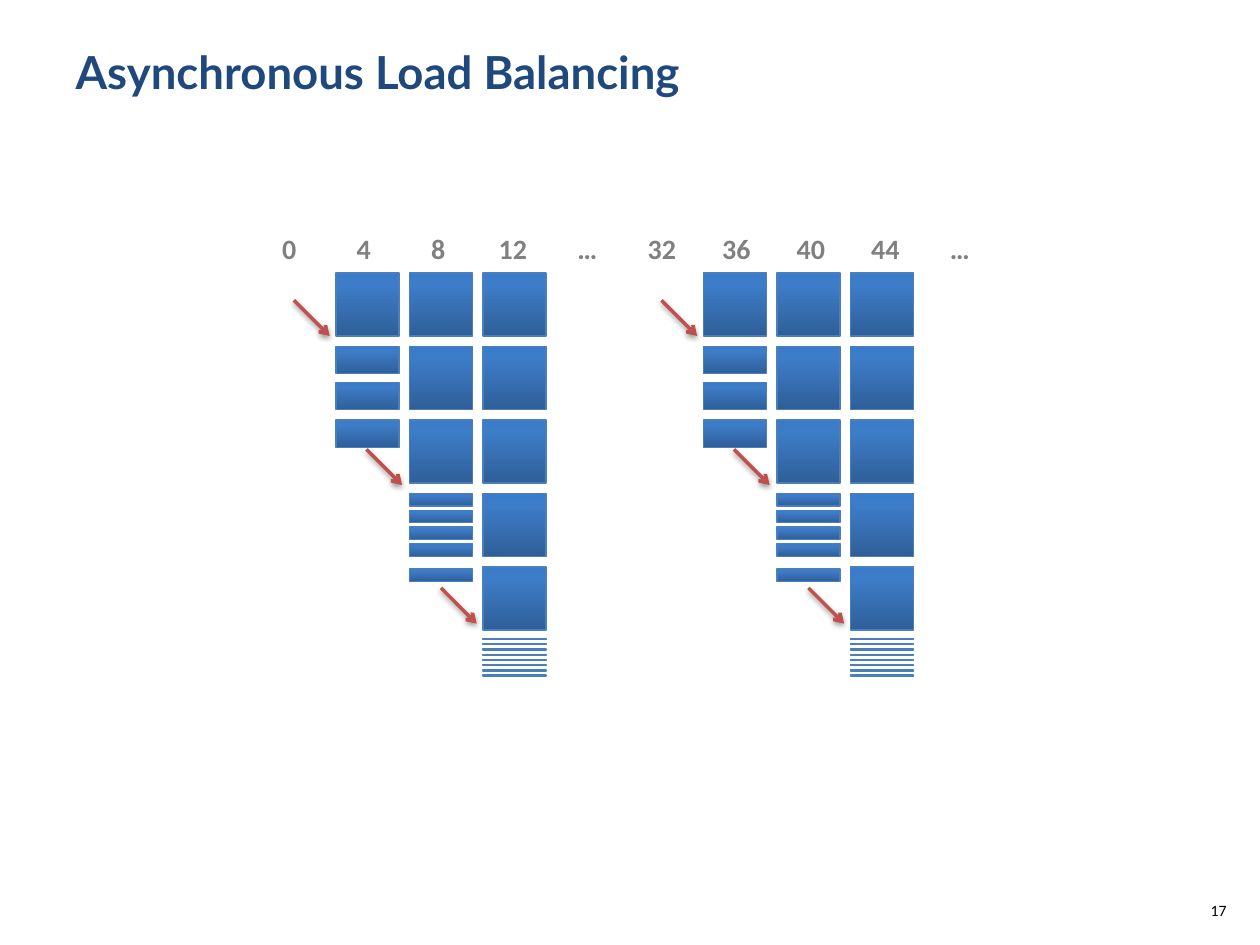
import copy
import dataclasses
import typing

import lxml.etree
import pptx
import pptx.dml.color
import pptx.enum.shapes
import pptx.enum.text
import pptx.oxml
import pptx.oxml.ns
import pptx.util

PX = 7620


@dataclasses.dataclass(frozen=True)
class Theme:
    title_color: str = "1F497D"
    label_color: str = "808080"
    number_color: str = "000000"
    block_stops: tuple = ((0, "2F5F99"), (0.8, "3D7CC7"), (1, "3A7CCB"))
    block_line: str = "4B7EBC"
    arrow_color: str = "C0504D"
    border_color: str = "FFFFFF"
    title_font: str = "Lato"
    body_font: str = "Calibri"
    title_size: int = 26
    label_size: int = 16
    number_size: int = 9


class Block(typing.NamedTuple):
    column: int
    top: int
    height: int


class Arrow(typing.NamedTuple):
    left: int
    top: int


THEME = Theme()
LABELS = ("0", "4", "8", "12", "…", "32", "36", "40", "44", "…")
TABLE_LEFT, TABLE_TOP, TABLE_HEIGHT, LABEL_WIDTH = 240, 196, 64, 71
GRID_LEFT, GRID_TOP, BLOCK_SIZE, GRID_STEP = 320, 260, 60, 70
GROUP_OFFSETS = (0, 5 * GRID_STEP)
ARROW_LENGTH = 34

FULL_BLOCKS = [
    Block(column, GRID_TOP + row * GRID_STEP, BLOCK_SIZE)
    for column, count in enumerate((1, 3, 5))
    for row in range(count)
]
HALF_BLOCKS = [Block(0, top, 26) for top in (330, 364, 400)]
QUARTER_BLOCKS = [Block(1, top, 12) for top in (*range(470, 519, 16), 542)]
THIN_BLOCKS = [Block(2, 608 + 5 * index, 1) for index in range(8)]
BLOCKS = FULL_BLOCKS + HALF_BLOCKS + QUARTER_BLOCKS + THIN_BLOCKS
ARROWS = (Arrow(280, 286), Arrow(349, 428), Arrow(420, 560))


def px(*lengths: int) -> list[pptx.util.Emu]:
    return [pptx.util.Emu(length * PX) for length in lengths]


def rgb(color: str) -> pptx.dml.color.RGBColor:
    return pptx.dml.color.RGBColor.from_string(color)


def format_text(text_frame, font_name: str, size: int, color: str, bold: bool, alignment) -> None:
    for paragraph in text_frame.paragraphs:
        paragraph.alignment = alignment
        for run in paragraph.runs:
            run.font.name = font_name
            run.font.size = pptx.util.Pt(size)
            run.font.bold = bold
            run.font.color.rgb = rgb(color)


def draw_title(slide) -> None:
    title = slide.shapes.title
    title.left, title.top, title.width, title.height = px(60, 36, 1080, 124)
    title.text_frame.text = "Asynchronous Load Balancing"
    title.text_frame.vertical_anchor = pptx.enum.text.MSO_ANCHOR.TOP
    format_text(title.text_frame, THEME.title_font, THEME.title_size,
                THEME.title_color, True, pptx.enum.text.PP_ALIGN.LEFT)


def draw_slide_number(slide) -> None:
    text_frame = slide.shapes.add_textbox(*px(1130, 852, 50, 48)).text_frame
    text_frame.word_wrap = True
    text_frame.text = "17"
    format_text(text_frame, THEME.body_font, THEME.number_size,
                THEME.number_color, False, pptx.enum.text.PP_ALIGN.RIGHT)


def draw_labels(slide) -> None:
    table = slide.shapes.add_table(
        1, len(LABELS), *px(TABLE_LEFT, TABLE_TOP, LABEL_WIDTH * len(LABELS), TABLE_HEIGHT)
    ).table
    table.first_row = False
    table.horz_banding = False
    for index, label in enumerate(LABELS):
        table.columns[index].width = px(LABEL_WIDTH)[0]
        cell = table.cell(0, index)
        cell.text_frame.text = label
        cell.vertical_anchor = pptx.enum.text.MSO_ANCHOR.BOTTOM
        cell.fill.background()
        format_text(cell.text_frame, THEME.body_font, THEME.label_size,
                    THEME.label_color, True, pptx.enum.text.PP_ALIGN.CENTER)
        border = pptx.oxml.parse_xml(
            f'<a:lnB {pptx.oxml.ns.nsdecls("a")} w="12700"><a:solidFill>'
            f'<a:srgbClr val="{THEME.border_color}"/></a:solidFill></a:lnB>'
        )
        cell._tc.get_or_add_tcPr().insert(0, border)


def draw_block(slide, block: Block, offset: int) -> None:
    shape = slide.shapes.add_shape(
        pptx.enum.shapes.MSO_SHAPE.RECTANGLE,
        *px(GRID_LEFT + offset + block.column * GRID_STEP, block.top, BLOCK_SIZE, block.height),
    )
    shape.shadow.inherit = False
    shape.fill.gradient()
    shape.fill.gradient_angle = 90
    first_stop = shape._element.spPr.find(".//" + pptx.oxml.ns.qn("a:gs"))
    first_stop.addnext(copy.deepcopy(first_stop))
    for stop, (position, color) in zip(shape.fill.gradient_stops, THEME.block_stops):
        stop.position = position
        stop.color.rgb = rgb(color)
    shape.line.color.rgb = rgb(THEME.block_line)
    shape.line.width = pptx.util.Pt(0.75)


def draw_arrow(slide, arrow: Arrow, offset: int) -> None:
    left = arrow.left + offset
    connector = slide.shapes.add_connector(
        pptx.enum.shapes.MSO_CONNECTOR.STRAIGHT,
        *px(left, arrow.top, left + ARROW_LENGTH, arrow.top + ARROW_LENGTH),
    )
    connector.line.color.rgb = rgb(THEME.arrow_color)
    connector.line.width = pptx.util.Pt(2)
    lxml.etree.SubElement(
        connector.line._get_or_add_ln(), pptx.oxml.ns.qn("a:tailEnd"), type="arrow"
    )
    connector._element.spPr.append(pptx.oxml.parse_xml(
        f'<a:effectLst {pptx.oxml.ns.nsdecls("a")}>'
        '<a:outerShdw blurRad="40000" dist="20000" dir="5400000" rotWithShape="0">'
        '<a:srgbClr val="000000"><a:alpha val="38000"/></a:srgbClr>'
        '</a:outerShdw></a:effectLst>'
    ))


def main() -> None:
    presentation = pptx.Presentation()
    presentation.slide_width, presentation.slide_height = px(1200, 900)
    slide = presentation.slides.add_slide(presentation.slide_layouts[5])
    draw_title(slide)
    draw_slide_number(slide)
    draw_labels(slide)
    for offset in GROUP_OFFSETS:
        for block in BLOCKS:
            draw_block(slide, block, offset)
        for arrow in ARROWS:
            draw_arrow(slide, arrow, offset)
    presentation.save("out.pptx")


if __name__ == "__main__":
    main()
